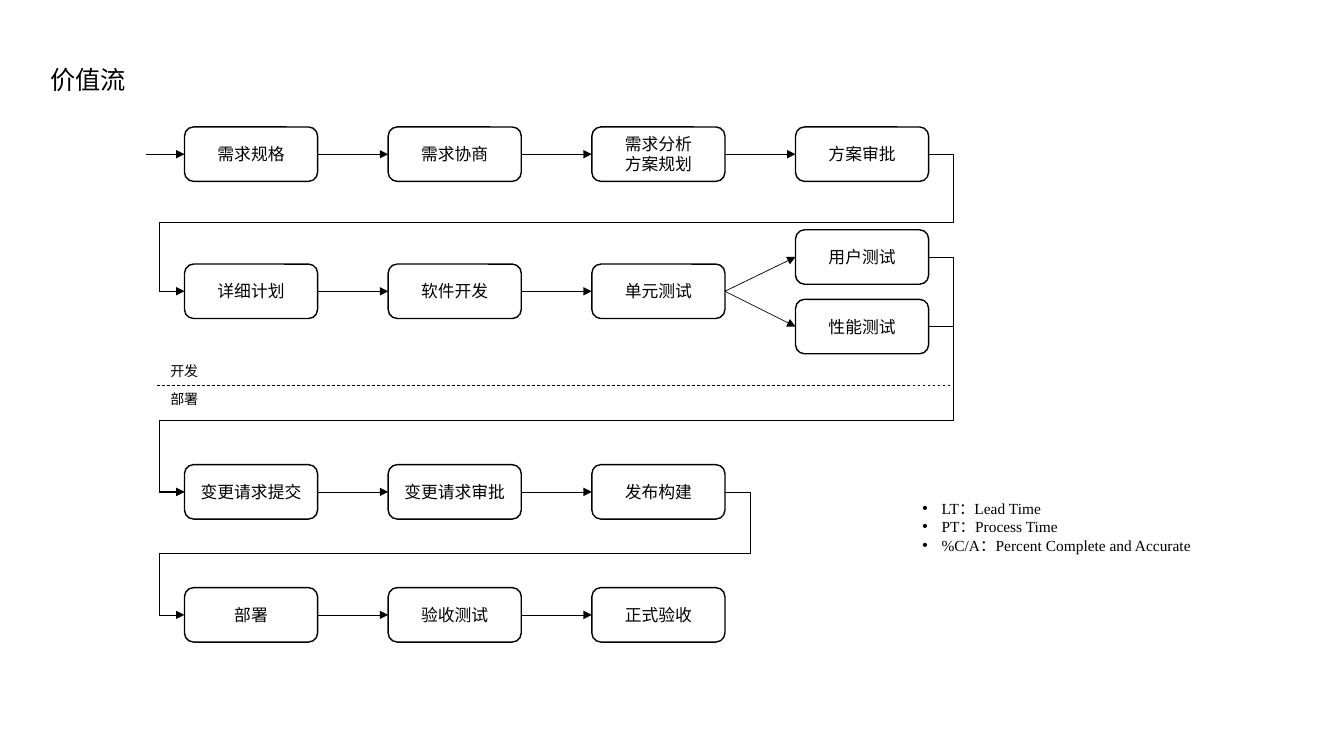
from pptx import Presentation
from pptx.dml.color import RGBColor
from pptx.enum.dml import MSO_LINE
from pptx.enum.shapes import MSO_CONNECTOR as Connector, MSO_SHAPE as Shape
from pptx.enum.text import MSO_ANCHOR as Anchor, MSO_AUTO_SIZE as AutoSize, PP_ALIGN as Align
from pptx.oxml.ns import qn
from pptx.util import Inches, Pt
from lxml.etree import SubElement

BLACK, WHITE = "000000", "FFFFFF"
SANS, SERIF = "Noto Sans CJK SC", "Times New Roman"
LEFT, PITCH, BOX_WIDTH, BOX_HEIGHT = 1.83, 2.02, 1.32, 0.54
TURN = 0.25  # distance a bent arrow keeps from the boxes
RIGHT_SIDE, LEFT_SIDE = 3, 1

# Top of each row and its steps from left to right
ROWS = [
    (1.26, ["需求规格", "需求协商", "需求分析\n方案规划", "方案审批"]),
    (2.62, ["详细计划", "软件开发", "单元测试"]),
    (4.61, ["变更请求提交", "变更请求审批", "发布构建"]),
    (5.83, ["部署", "验收测试", "正式验收"]),
]
TESTS = [(2.28, "用户测试"), (2.97, "性能测试")]
LEGEND = "LT：Lead Time\nPT：Process Time\n%C/A：Percent Complete and Accurate"


def color(value):
    return RGBColor.from_string(value)


def write(frame, text, size=12, font=SANS, align=Align.LEFT, bullet=False):
    for index, line in enumerate(text.split("\n")):
        paragraph = frame.paragraphs[0] if index == 0 else frame.add_paragraph()
        paragraph.alignment = align
        if bullet:
            properties = paragraph._p.get_or_add_pPr()
            properties.set("marL", str(Inches(0.19)))
            properties.set("indent", str(Inches(-0.19)))
            SubElement(properties, qn("a:buFont"), typeface="Arial")
            SubElement(properties, qn("a:buChar"), char="•")
        run = paragraph.add_run()
        run.text = line
        run.font.size = Pt(size)
        run.font.name = font
        run.font.color.rgb = color(BLACK)
        SubElement(run._r.get_or_add_rPr(), qn("a:ea"), typeface=SANS)


def add_label(slide, text, left, top, width, height, wrap=False, **text_format):
    box = slide.shapes.add_textbox(Inches(left), Inches(top), Inches(width), Inches(height))
    box.text_frame.word_wrap = wrap
    box.text_frame.auto_size = AutoSize.SHAPE_TO_FIT_TEXT
    write(box.text_frame, text, **text_format)


def add_step(slide, text, column, top):
    shape = slide.shapes.add_shape(
        Shape.ROUNDED_RECTANGLE, Inches(LEFT + column * PITCH), Inches(top),
        Inches(BOX_WIDTH), Inches(BOX_HEIGHT))
    shape.shadow.inherit = False
    shape.fill.solid()
    shape.fill.fore_color.rgb = color(WHITE)
    shape.line.color.rgb = color(BLACK)
    shape.line.width = Pt(1)
    shape.text_frame.word_wrap = True
    shape.text_frame.vertical_anchor = Anchor.MIDDLE
    write(shape.text_frame, text, align=Align.CENTER)
    return shape


def add_line(slide, start=(0, 0), end=(0, 0), kind=Connector.STRAIGHT, arrow=True):
    line = slide.shapes.add_connector(kind, *map(Inches, start + end))
    line.line.color.rgb = color(BLACK)
    line.line.width = Pt(0.5)
    if arrow:
        SubElement(line.line._get_or_add_ln(), qn("a:tailEnd"), type="triangle")
    SubElement(line._element.spPr, qn("a:effectLst"))
    return line


def join(slide, source, target, kind=Connector.STRAIGHT):
    line = add_line(slide, kind=kind)
    line.begin_connect(source, RIGHT_SIDE)
    line.end_connect(target, LEFT_SIDE)
    return line


def add_return(slide, source, target, channel):
    """Bent arrow back to the next row, crossing at height channel."""
    line = join(slide, source, target, Connector.ELBOW)
    overshoot = Inches(TURN) / line.width
    crossing = (Inches(channel) - line.begin_y) / line.height
    geometry = line._element.spPr.find(qn("a:prstGeom"))
    geometry.set("prst", "bentConnector5")
    guides = geometry.find(qn("a:avLst"))
    if guides is None:
        guides = SubElement(geometry, qn("a:avLst"))
    for number, share in enumerate((-overshoot, crossing, 1 + overshoot), 1):
        SubElement(guides, qn("a:gd"), name=f"adj{number}", fmla=f"val {round(share * 100000)}")


def main():
    presentation = Presentation()
    presentation.slide_width, presentation.slide_height = Inches(13.33), Inches(7.5)
    slide = presentation.slides.add_slide(presentation.slide_layouts[6])
    slide.background.fill.solid()
    slide.background.fill.fore_color.rgb = color(WHITE)

    add_label(slide, "价值流", 0.4, 0.59, 0.95, 0.4, size=18, font=SERIF)

    # Steps
    rows = [[add_step(slide, text, column, top) for column, text in enumerate(texts)]
            for top, texts in ROWS]
    tests = [add_step(slide, text, 3, top) for top, text in TESTS]
    request, development, change, deployment = rows

    # Arrows within the rows
    entry = add_line(slide, (1.45, 1.53), (LEFT, 1.53))
    entry.end_connect(request[0], LEFT_SIDE)
    for row in rows:
        for source, target in zip(row, row[1:]):
            join(slide, source, target)
    for test in tests:
        join(slide, development[-1], test)

    # Arrows to the next row
    add_return(slide, request[-1], development[0], 2.21)
    for test in tests:
        add_return(slide, test, change[0], 4.17)
    add_return(slide, change[-1], deployment[0], 5.49)

    # Border between development and deployment
    border = add_line(slide, (1.56, 3.82), (9.46, 3.82), arrow=False)
    border.line.dash_style = MSO_LINE.DASH
    for text, top in (("开发", 3.55), ("部署", 3.83)):
        add_label(slide, text, 1.59, top, 0.48, 0.27, size=10)

    # Legend
    add_label(slide, LEGEND, 9.05, 4.9, 2.88, 0.66, wrap=True, size=11, font=SERIF, bullet=True)

    presentation.save("out.pptx")


if __name__ == "__main__":
    main()
